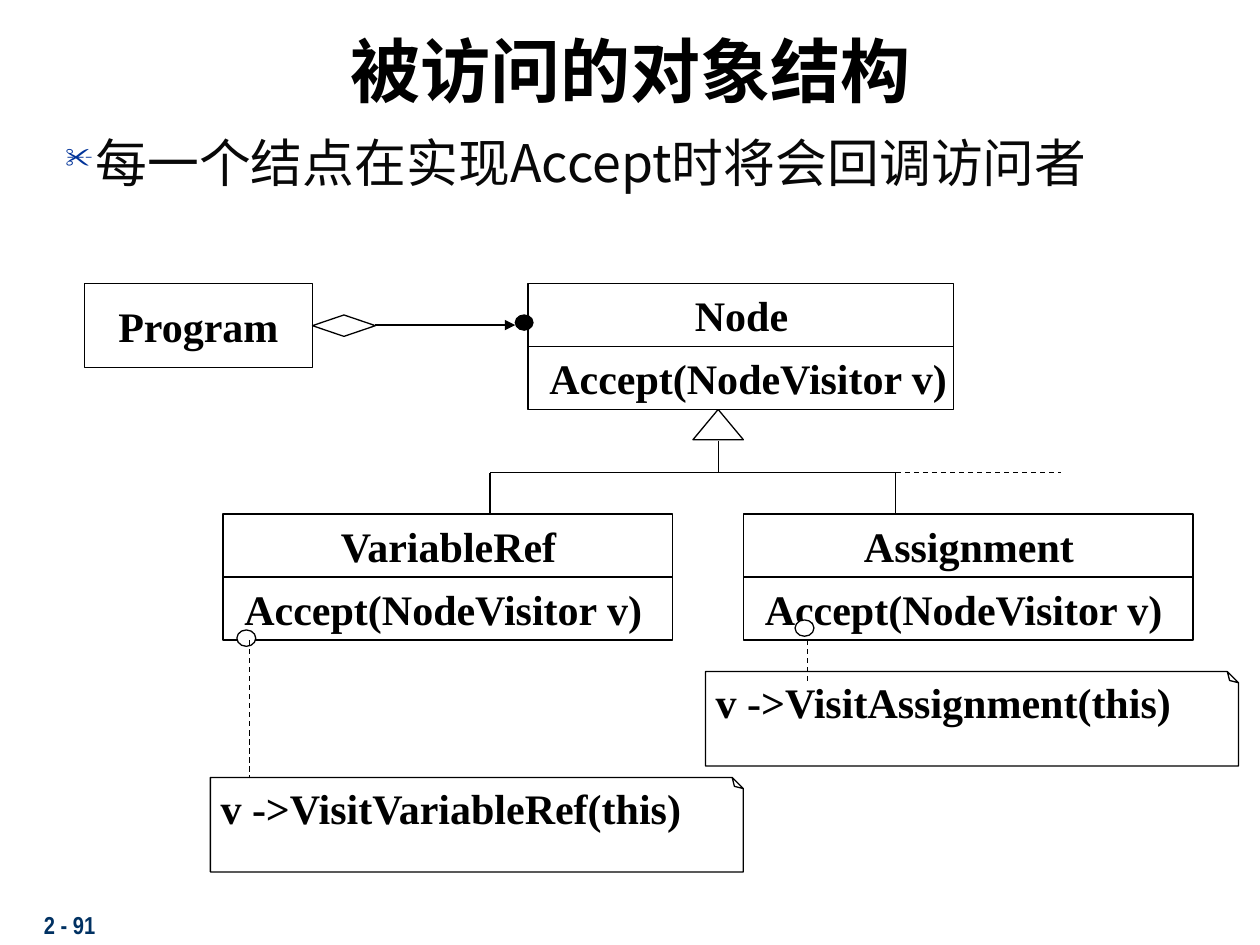
from lxml import etree
from pptx import Presentation
from pptx.dml.color import RGBColor
from pptx.enum import dml, shapes, text
from pptx.oxml import ns
from pptx.util import Inches, Pt

BLACK = RGBColor(0, 0, 0)
WHITE = RGBColor(255, 255, 255)
INK = RGBColor(8, 8, 8)
NAVY = RGBColor(0, 0x31, 0x62)
BULLET = RGBColor(0, 0x33, 0x99)
SERIF = "Times New Roman"
HAN = "Noto Sans CJK SC"
KIND = shapes.MSO_SHAPE
LEFT, MID = text.PP_ALIGN.LEFT, text.PP_ALIGN.CENTER
PAD = (0.1, 0.05, 0.1, 0.05)


def sub(node, tag, **attrs):
    return etree.SubElement(node, ns.qn(tag), **attrs)


def write(shape, words, size=24, face=SERIF, color=BLACK, bold=True,
          align=LEFT, pad=PAD, anchor=text.MSO_ANCHOR.TOP, wrap=True):
    frame = shape.text_frame
    frame.word_wrap = wrap
    frame.vertical_anchor = anchor
    (frame.margin_left, frame.margin_top,
     frame.margin_right, frame.margin_bottom) = map(Inches, pad)
    para = frame.paragraphs[0]
    para.text = words
    para.alignment = align
    font = para.font
    font.size, font.bold, font.name = Pt(size), bold, face
    font.color.rgb = color
    sub(font._element, "a:ea", typeface=face)


def label(slide, box, words, **style):
    write(slide.shapes.add_textbox(*map(Inches, box)), words, **style)


def form(slide, kind, box, fill=WHITE):
    shape = slide.shapes.add_shape(kind, *map(Inches, box))
    shape.shadow.inherit = False
    if fill is None:
        shape.fill.background()
    else:
        shape.fill.solid()
        shape.fill.fore_color.rgb = fill
    shape.line.color.rgb = BLACK
    shape.line.width = Pt(0.75)
    return shape


def link(slide, x1, y1, x2, y2, dash=False, arrow=False):
    wire = slide.shapes.add_connector(
        shapes.MSO_CONNECTOR.STRAIGHT, *map(Inches, (x1, y1, x2, y2)))
    wire.line.color.rgb = BLACK
    wire.line.width = Pt(0.75)
    if dash:
        wire.line.dash_style = dml.MSO_LINE.DASH
    if arrow:
        sub(wire.line._get_or_add_ln(), "a:tailEnd", type="triangle")
    sub(wire._element.spPr, "a:effectLst")


def node(slide, x, y, width, name):
    """Class box: name above, method below."""
    middle = text.MSO_ANCHOR.MIDDLE
    form(slide, KIND.RECTANGLE, (x, y, width, 1))
    label(slide, (x + 0.13, y, width - 0.25, 0.5), name,
          align=MID, anchor=middle)
    link(slide, x, y + 0.5, x + width, y + 0.5)
    label(slide, (x + 0.13, y + 0.53, width + 0.13, 0.44),
          "Accept(NodeVisitor v)", pad=(0.04, 0.02, 0.04, 0.02),
          anchor=middle)


def note(slide, x, y, words):
    """Folded note, turned so that its fold is at the top right."""
    long, short = 4.23, 0.75
    box = (x + (long - short) / 2, y - (long - short) / 2, short, long)
    shape = form(slide, KIND.FOLDED_CORNER, box, None)
    guides = shape._element.spPr.prstGeom.get_or_add_avLst()
    sub(guides, "a:gd", name="adj", fmla="val 11800")
    shape.rotation = 270
    write(shape, words, pad=(0.02, 0.08, 0.04, 0))
    shape.text_frame._txBody.bodyPr.set("vert", "eaVert")


def heading(slide):
    label(slide, (0.17, 0.17, 9.67, 0.75), "被访问的对象结构",
          size=40, face=HAN, align=MID)
    box = slide.shapes.add_textbox(*map(Inches, (0.42, 1.08, 9.17, 0.52)))
    para = box.text_frame.paragraphs[0]
    para.line_spacing = 0.8
    props = para._p.get_or_add_pPr()
    props.set("marL", str(Inches(0.24)))
    props.set("indent", str(-Inches(0.24)))
    sub(sub(props, "a:buClr"), "a:srgbClr", val=str(BULLET))
    sub(props, "a:buSzPct", val="55000")
    sub(props, "a:buChar", char="✂")
    write(box, "每一个结点在实现Accept时将会回调访问者",
          size=29.6, face=HAN, color=INK, bold=False)


def tree(slide):
    """Inheritance lines from Node to its subclasses."""
    left, stem, right, bar = 3.89, 5.7, 7.11, 3.75
    form(slide, KIND.ISOSCELES_TRIANGLE, (stem - 0.2, 3.25, 0.4, 0.24))
    link(slide, left, bar, right, bar)
    for x in (left, right):
        link(slide, x, bar, x, 4.08)
    link(slide, stem, 3.5, stem, bar)
    link(slide, right, bar, 8.42, bar, dash=True)


def program(slide):
    box = form(slide, KIND.RECTANGLE, (0.67, 2.25, 1.81, 0.67))
    write(box, "Program", align=MID, anchor=text.MSO_ANCHOR.MIDDLE, wrap=False)
    form(slide, KIND.DIAMOND, (2.48, 2.5, 0.5, 0.17))
    link(slide, 2.98, 2.58, 4.09, 2.58, arrow=True)
    form(slide, KIND.OVAL, (4.09, 2.5, 0.14, 0.12), BLACK)


def main():
    deck = Presentation()
    deck.slide_width, deck.slide_height = Inches(10), Inches(7.5)
    slide = deck.slides.add_slide(deck.slide_layouts[6])
    label(slide, (0.25, 7.17, 2.08, 0.33), "2 - 91",
          size=14, face="Arial Narrow", color=NAVY)
    heading(slide)
    tree(slide)
    node(slide, 4.19, 2.25, 3.38, "Node")
    node(slide, 1.77, 4.08, 3.57, "VariableRef")
    node(slide, 5.9, 4.08, 3.57, "Assignment")
    program(slide)
    for x, y, words, ring, top, end in (
            (1.67, 6.17, "v ->VisitVariableRef(this)", 1.88, 5, 6.17),
            (5.6, 5.33, "v ->VisitAssignment(this)", 6.31, 4.92, 5.42)):
        note(slide, x, y, words)
        form(slide, KIND.OVAL, (ring, top, 0.15, 0.13))
        link(slide, ring + 0.1, 5.08, ring + 0.1, end, dash=True)
    deck.save("out.pptx")


if __name__ == "__main__":
    main()
